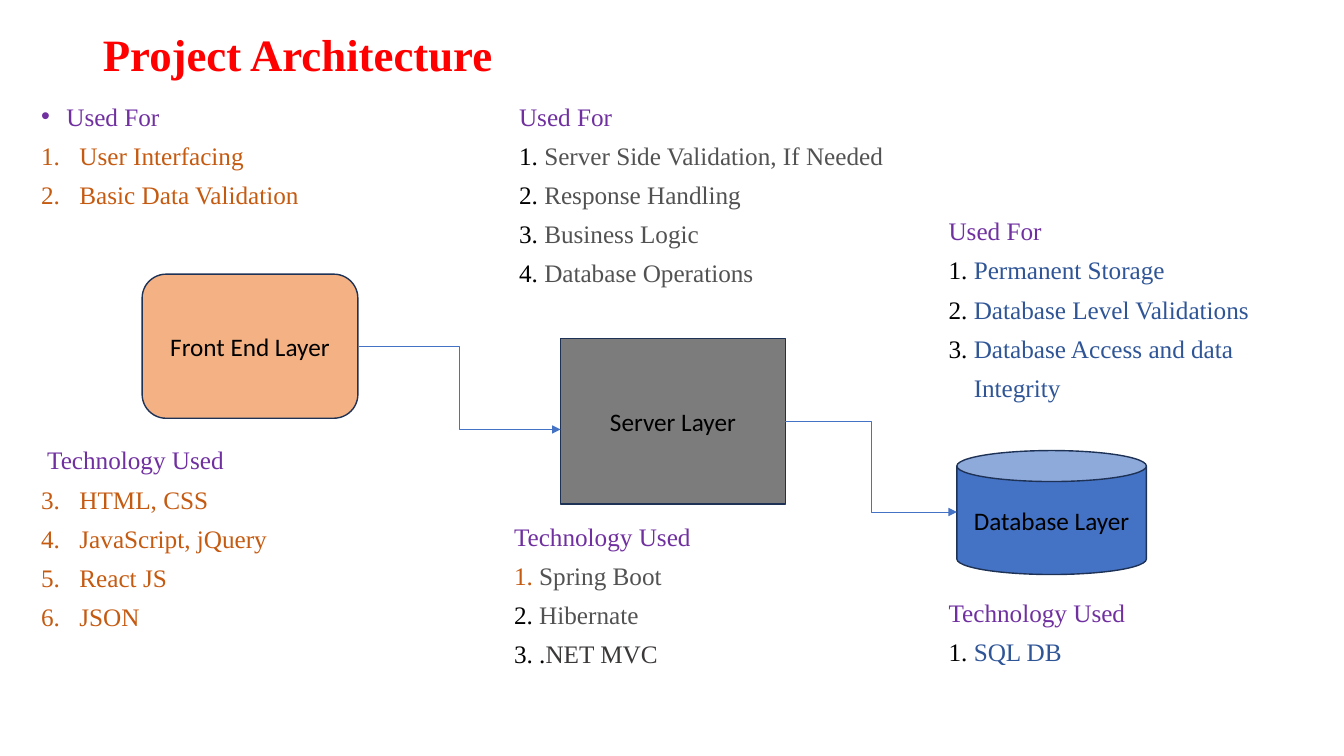
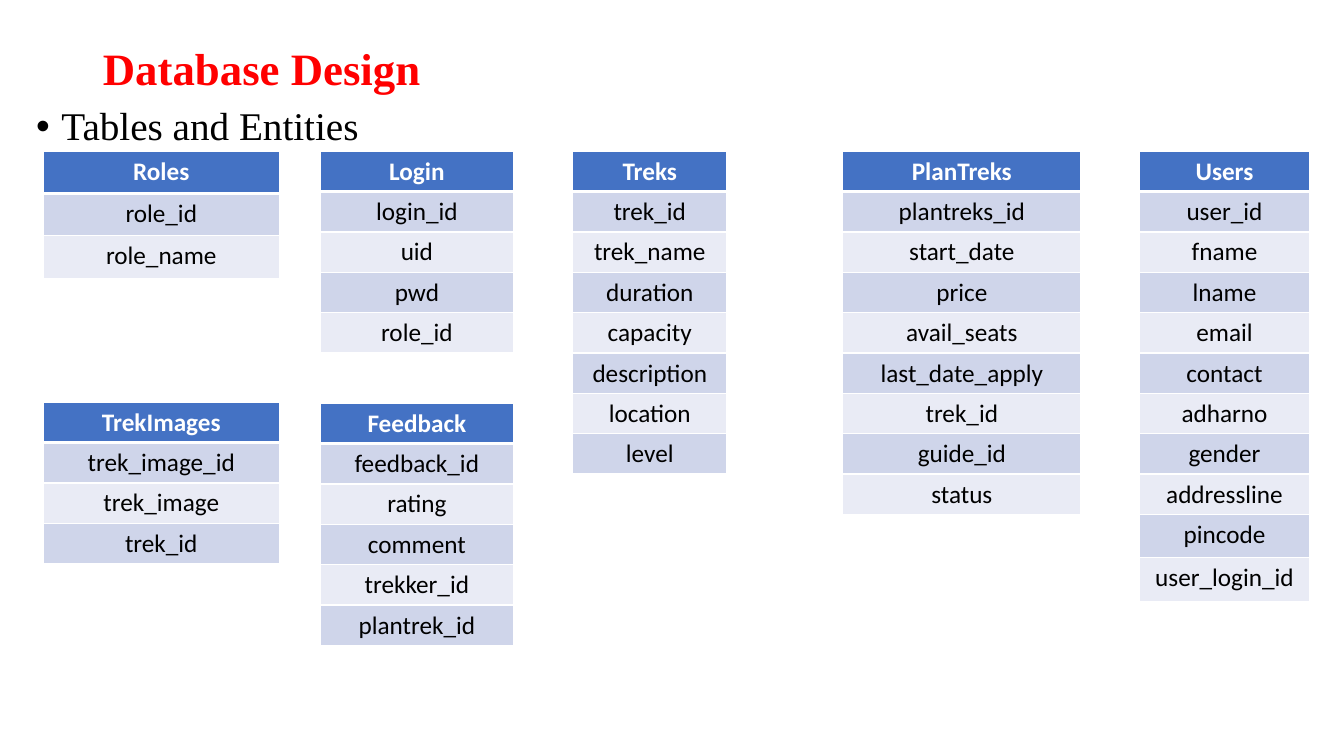
import lxml.etree
import pptx
import pptx.dml.color
import pptx.enum.shapes
import pptx.enum.text
import pptx.oxml.ns
import pptx.util

Inches = pptx.util.Inches
Pt = pptx.util.Pt
SHAPES = pptx.enum.shapes.MSO_SHAPE
ALIGN = pptx.enum.text.PP_ALIGN
MIDDLE = pptx.enum.text.MSO_ANCHOR.MIDDLE

BLACK, WHITE, RED, PURPLE = "000000", "FFFFFF", "FF0000", "7030A0"
ORANGE, GRAY, DARK_GRAY, NAVY = "C55A11", "525252", "3B3838", "2F5597"
BLUE, OUTLINE = "4472C4", "1E3256"
BANDS = ("CFD5EA", "E9EBF5")

TITLE_FONT = {"name": "Times New Roman", "size": Pt(32), "bold": True}
LIST_FONT = {"name": "Times New Roman", "size": Pt(18)}
SUBTITLE_FONT = {"name": "Times New Roman", "size": Pt(28)}
LABEL_FONT = {"name": "Calibri", "size": Pt(18), "bold": False}
HEADER_FONT = {**LABEL_FONT, "bold": True}
LIST_SPACING = {"line_spacing": 0.8, "space_before": Pt(10.7)}

LIST_TOP, LIST_PITCH = 1.01, 0.379
ROW_HEIGHT = 0.4

# Left, first line, width, heading, heading indent, bulleted heading,
# number indent, first number, number colours, items
LISTS = [
    (0.31, 0, 4, "Used For", 0, True, 0.38, 1, [ORANGE] * 2,
     [[("User Interfacing", ORANGE)], [("Basic Data Validation", ORANGE)]]),
    (0.31, 9, 4, "Technology Used", 0.06, False, 0.38, 3, [ORANGE] * 4,
     [[("HTML, CSS", ORANGE)], [("JavaScript, jQuery", ORANGE)],
      [("React JS", ORANGE)], [("JSON", ORANGE)]]),
    (5.05, 0, 4.2, "Used For", 0, False, 0.25, 1, [BLACK] * 4,
     [[("Server Side Validation, If Needed", GRAY)], [("Response Handling", GRAY)],
      [("Business Logic", GRAY)], [("Database Operations", GRAY)]]),
    (5, 11, 4, "Technology Used", 0, False, 0.25, 1, [ORANGE, BLACK, BLACK],
     [[("Spring Boot", GRAY)], [("Hibernate", GRAY)],
      [(".", BLACK), ("NET MVC", DARK_GRAY)]]),
    (9.31, 3, 3.8, "Used For", 0, False, 0.25, 1, [BLACK, BLACK, BLACK, None],
     [[("Permanent Storage", NAVY)], [("Database Level Validations", NAVY)],
      [("Database Access and data", NAVY)], [("Integrity", NAVY)]]),
    (9.31, 13, 3.8, "Technology Used", 0, False, 0.25, 1, [BLACK],
     [[("SQL DB", NAVY)]]),
]

LAYERS = [
    (SHAPES.ROUNDED_RECTANGLE, (1.41, 2.72, 2.14, 1.43), "F4B183", "Front End Layer"),
    (SHAPES.RECTANGLE, (5.56, 3.36, 2.23, 1.64), "7C7C7C", "Server Layer"),
    (SHAPES.CAN, (9.49, 4.47, 1.88, 1.23), BLUE, "Database Layer"),
]
ARROWS = [(3.56, 3.44, 5.56, 4.26), (7.79, 4.18, 9.49, 5.08)]

# Left, top, width, row heights, header and fields
ENTITIES = [
    (0.43, 1.5, 2.34, [0.42] * 3, "Roles role_id role_name"),
    (3.18, 1.5, 1.91, [ROW_HEIGHT] * 5, "Login login_id uid pwd role_id"),
    (8.36, 1.5, 2.36, [ROW_HEIGHT] * 9,
     "PlanTreks plantreks_id start_date price avail_seats last_date_apply "
     "trek_id guide_id status"),
    (11.3, 1.5, 1.69, [ROW_HEIGHT] * 9 + [0.43] * 2,
     "Users user_id fname lname email contact adharno gender addressline "
     "pincode user_login_id"),
    (5.68, 1.5, 1.53, [ROW_HEIGHT] * 8,
     "Treks trek_id trek_name duration capacity description location level"),
    (0.43, 3.99, 2.34, [ROW_HEIGHT] * 4,
     "TrekImages trek_image_id trek_image trek_id"),
    (3.18, 4, 1.91, [ROW_HEIGHT] * 6,
     "Feedback feedback_id rating comment trekker_id plantrek_id"),
]


def rgb(color):
    return pptx.dml.color.RGBColor.from_string(color)


def set_values(target, values):
    for name, value in values.items():
        setattr(target, name, value)


def add_xml(parent, tag, **attributes):
    element = lxml.etree.SubElement(parent, pptx.oxml.ns.qn(tag))
    for name, value in attributes.items():
        element.set(name, str(value))
    return element


def fill_solid(target, color):
    target.fill.solid()
    target.fill.fore_color.rgb = rgb(color)


def add_run(paragraph, text, color, font):
    run = paragraph.add_run()
    run.text = text
    set_values(run.font, font)
    run.font.color.rgb = rgb(color)


def set_marker(paragraph, color, indent, start=None):
    """Hang a bullet, or a number when start is given, before the paragraph."""
    properties = paragraph._p.get_or_add_pPr()
    properties.set("marL", str(Inches(indent)))
    properties.set("indent", str(-Inches(indent)))
    add_xml(add_xml(properties, "a:buClr"), "a:srgbClr", val=color)
    if start is None:
        add_xml(properties, "a:buFont", typeface="Arial")
        add_xml(properties, "a:buChar", char="•")
    else:
        add_xml(properties, "a:buAutoNum", type="arabicPeriod", startAt=start)


def add_text_box(slide, left, top, width, height):
    box = slide.shapes.add_textbox(*map(Inches, (left, top, width, height)))
    box.text_frame.word_wrap = True
    return box.text_frame


def add_titled_slide(presentation, title, top, height):
    slide = presentation.slides.add_slide(presentation.slide_layouts[5])
    shape = slide.shapes.title
    set_values(shape, {"left": Inches(0.92), "top": Inches(top),
                       "width": Inches(11.5), "height": Inches(height)})
    set_values(shape.text_frame, {"vertical_anchor": MIDDLE,
                                  "auto_size": pptx.enum.text.MSO_AUTO_SIZE.NONE})
    paragraph = shape.text_frame.paragraphs[0]
    set_values(paragraph, {"alignment": ALIGN.LEFT, "line_spacing": 0.9})
    add_run(paragraph, title, RED, TITLE_FONT)
    return slide


def add_list(slide, left, line, width, heading, heading_indent, bulleted,
             indent, start, number_colors, items):
    frame = add_text_box(slide, left, LIST_TOP + line * LIST_PITCH, width,
                         (len(items) + 1) * LIST_PITCH)
    paragraph = frame.paragraphs[0]
    set_values(paragraph, LIST_SPACING)
    if bulleted:
        set_marker(paragraph, PURPLE, 0.25)
    else:
        paragraph._p.get_or_add_pPr().set("marL", str(Inches(heading_indent)))
    add_run(paragraph, heading, PURPLE, LIST_FONT)
    for item, number_color in zip(items, number_colors):
        paragraph = frame.add_paragraph()
        set_values(paragraph, LIST_SPACING)
        if number_color:
            set_marker(paragraph, number_color, indent, start)
        else:
            paragraph._p.get_or_add_pPr().set("marL", str(Inches(indent)))
        for text, color in item:
            add_run(paragraph, text, color, LIST_FONT)


def add_layer(slide, kind, position, color, label):
    shape = slide.shapes.add_shape(kind, *map(Inches, position))
    shape.shadow.inherit = False
    fill_solid(shape, color)
    shape.line.color.rgb = rgb(OUTLINE)
    shape.line.width = Pt(1)
    set_values(shape.text_frame, {"word_wrap": True, "vertical_anchor": MIDDLE})
    paragraph = shape.text_frame.paragraphs[0]
    paragraph.alignment = ALIGN.CENTER
    add_run(paragraph, label, BLACK, LABEL_FONT)


def add_elbow_arrow(slide, ends):
    connector = slide.shapes.add_connector(
        pptx.enum.shapes.MSO_CONNECTOR.ELBOW, *map(Inches, ends))
    connector.line.color.rgb = rgb(BLUE)
    connector.line.width = Pt(0.5)
    add_xml(connector.line._get_or_add_ln(), "a:tailEnd", type="triangle")
    add_xml(connector._element.spPr, "a:effectLst")


def set_borders(cell, bottom_width):
    """Draw white borders; their XML has to precede the fill."""
    properties = cell._tc.get_or_add_tcPr()
    widths = {"a:lnL": 1, "a:lnR": 1, "a:lnT": 1, "a:lnB": bottom_width}
    for index, (tag, width) in enumerate(widths.items()):
        border = add_xml(properties, tag, w=Pt(width))
        add_xml(add_xml(border, "a:solidFill"), "a:srgbClr", val=WHITE)
        properties.insert(index, border)


def add_entity(slide, left, top, width, heights, names):
    frame = slide.shapes.add_table(
        len(heights), 1, *map(Inches, (left, top, width, sum(heights))))
    table = frame.table
    for row, (height, name) in enumerate(zip(heights, names.split())):
        is_header = row == 0
        table.rows[row].height = Inches(height)
        cell = table.cell(row, 0)
        fill_solid(cell, BLUE if is_header else BANDS[(row - 1) % 2])
        set_borders(cell, 3 if row < 1 else 1)
        if row == 1:
            cell._tc.tcPr.find(pptx.oxml.ns.qn("a:lnT")).set("w", str(Pt(3)))
        paragraph = cell.text_frame.paragraphs[0]
        paragraph.alignment = ALIGN.CENTER
        add_run(paragraph, name, WHITE if is_header else BLACK,
                HEADER_FONT if is_header else LABEL_FONT)


def build_architecture(presentation):
    slide = add_titled_slide(presentation, "Project Architecture", 0.35, 0.44)
    for content in LISTS:
        add_list(slide, *content)
    for layer in LAYERS:
        add_layer(slide, *layer)
    for ends in ARROWS:
        add_elbow_arrow(slide, ends)


def build_database(presentation):
    slide = add_titled_slide(presentation, "Database Design", 0.4, 0.61)
    paragraph = add_text_box(slide, 0.26, 1.01, 12.88, 0.49).paragraphs[0]
    paragraph.line_spacing = 0.9
    set_marker(paragraph, BLACK, 0.25)
    add_run(paragraph, "Tables and Entities", BLACK, SUBTITLE_FONT)
    for entity in ENTITIES:
        add_entity(slide, *entity)


def main():
    presentation = pptx.Presentation()
    set_values(presentation, {"slide_width": Inches(13.33),
                              "slide_height": Inches(7.5)})
    build_architecture(presentation)
    build_database(presentation)
    presentation.save("out.pptx")


if __name__ == "__main__":
    main()
